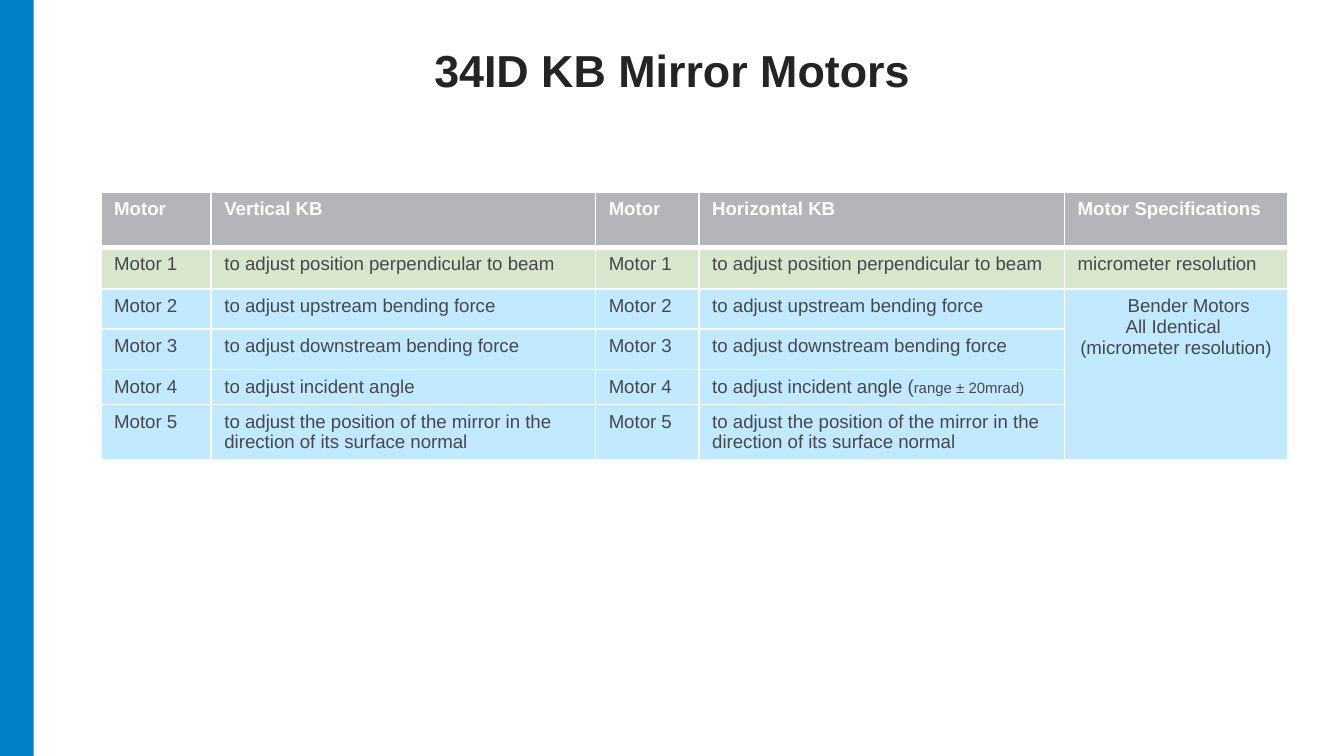
from dataclasses import dataclass

from lxml import etree
from pptx import Presentation
from pptx.dml.color import RGBColor
from pptx.enum.shapes import MSO_SHAPE
from pptx.enum.text import MSO_ANCHOR, PP_ALIGN
from pptx.oxml.ns import qn
from pptx.util import Inches, Pt

RECTANGLE = MSO_SHAPE.RECTANGLE
BOTTOM = MSO_ANCHOR.BOTTOM
CENTER = PP_ALIGN.CENTER

SLIDE_WIDTH = Inches(10)
SLIDE_HEIGHT = Inches(10 * 9 / 16)
COLORS = {
    "accent": "0082CA",
    "title": "232425",
    "header": "B4B5B8",
    "position": "D7E6CC",
    "bender": "C1E9FF",
    "body": "47484A",
    "white": "FFFFFF",
}
TITLE_FONT = {"name": "Arial", "size": Pt(24), "bold": True}
HEADER_FONT = {"name": "Arial", "size": Pt(10), "bold": True}
BODY_FONT = {"name": "Arial", "size": Pt(10), "bold": False}
NOTE_FONT = {"name": "Arial", "size": Pt(8), "bold": False}
COLUMN_WIDTHS = [0.82, 2.86, 0.77, 2.72, 1.66]
HEADERS = ["Motor", "Vertical KB", "Motor", "Horizontal KB", "Motor Specifications"]
BENDER_SPECS = ["Bender Motors", "All Identical ", "(micrometer resolution)"]


@dataclass
class Motor:
    vertical: str
    height: float
    fill: str = "bender"
    horizontal: str = ""
    note: str = ""
    specification: str = ""


MOTORS = [
    Motor("to adjust position perpendicular to beam", 0.31, "position",
          specification="micrometer resolution"),
    Motor("to adjust upstream bending force", 0.3),
    Motor("to adjust downstream bending force", 0.3),
    Motor("to adjust incident angle", 0.26,
          horizontal="to adjust incident angle (", note="range ± 20mrad)"),
    Motor("to adjust the position of the mirror in the direction of its surface normal", 0.41),
]
ROW_HEIGHTS = [0.41] + [motor.height for motor in MOTORS]


def rgb(color: str) -> RGBColor:
    return RGBColor.from_string(COLORS[color])


def add_run(paragraph, text: str, font_format: dict, color: str) -> None:
    run = paragraph.add_run()
    run.text = text
    for attribute, value in font_format.items():
        setattr(run.font, attribute, value)
    run.font.color.rgb = rgb(color)


def style_cell(cell, fill: str, top: int = 1, bottom: int = 1) -> None:
    properties = cell._tc.get_or_add_tcPr()
    for side, points in {"L": 1, "R": 1, "T": top, "B": bottom}.items():
        border = etree.SubElement(properties, qn(f"a:ln{side}"), w=str(Pt(points)))
        solid = etree.SubElement(border, qn("a:solidFill"))
        etree.SubElement(solid, qn("a:srgbClr"), val=COLORS["white"])
    cell.fill.solid()
    cell.fill.fore_color.rgb = rgb(fill)


def add_sidebar(slide) -> None:
    sidebar = slide.shapes.add_shape(RECTANGLE, 0, 0, Inches(0.25), SLIDE_HEIGHT)
    sidebar.shadow.inherit = False
    sidebar.fill.solid()
    sidebar.fill.fore_color.rgb = rgb("accent")
    sidebar.line.fill.background()


def add_title(slide, text: str) -> None:
    box = slide.shapes.add_textbox(Inches(0.42), Inches(0.05), Inches(9.16), Inches(0.68))
    frame = box.text_frame
    frame_format = {
        "word_wrap": True, "vertical_anchor": BOTTOM, "margin_left": 0,
        "margin_right": 0, "margin_top": 0, "margin_bottom": 0,
    }
    for attribute, value in frame_format.items():
        setattr(frame, attribute, value)
    heading = frame.paragraphs[0]
    heading.alignment = CENTER
    heading.line_spacing = 0.95
    add_run(heading, text, TITLE_FONT, "title")


def add_bender_specs(cell) -> None:
    frame = cell.text_frame
    for index, text in enumerate(BENDER_SPECS):
        paragraph = frame.add_paragraph() if index else frame.paragraphs[0]
        paragraph.alignment = CENTER
        if index == 0:
            paragraph._p.get_or_add_pPr().set("marL", str(Inches(0.19)))
        add_run(paragraph, text, BODY_FONT, "body")


def add_motor_table(slide) -> None:
    table = slide.shapes.add_table(
        len(ROW_HEIGHTS), len(COLUMN_WIDTHS), Inches(0.75), Inches(1.43),
        Inches(sum(COLUMN_WIDTHS)), Inches(sum(ROW_HEIGHTS)),
    ).table
    for column, width in zip(table.columns, COLUMN_WIDTHS):
        column.width = Inches(width)
    for row, height in zip(table.rows, ROW_HEIGHTS):
        row.height = Inches(height)

    for cell, label in zip(table.rows[0].cells, HEADERS):
        style_cell(cell, "header", bottom=3)
        add_run(cell.text_frame.paragraphs[0], label, HEADER_FONT, "white")

    for number, motor in enumerate(MOTORS, start=1):
        name = f"Motor {number}"
        texts = [name, motor.vertical, name, motor.horizontal or motor.vertical,
                 motor.specification]
        cells = list(table.rows[number].cells)
        for cell, text in zip(cells, texts):
            style_cell(cell, motor.fill, top=3 if number == 1 else 1)
            if text:
                add_run(cell.text_frame.paragraphs[0], text, BODY_FONT, "body")
        if motor.note:
            add_run(cells[3].text_frame.paragraphs[0], motor.note, NOTE_FONT, "body")

    bender_cell = table.cell(2, 4)
    bender_cell.merge(table.cell(5, 4))
    add_bender_specs(bender_cell)


def main() -> None:
    presentation = Presentation()
    presentation.slide_width = SLIDE_WIDTH
    presentation.slide_height = SLIDE_HEIGHT
    slide = presentation.slides.add_slide(presentation.slide_layouts[6])
    add_sidebar(slide)
    add_motor_table(slide)
    add_title(slide, "34ID KB Mirror Motors")
    presentation.save("out.pptx")


if __name__ == "__main__":
    main()
